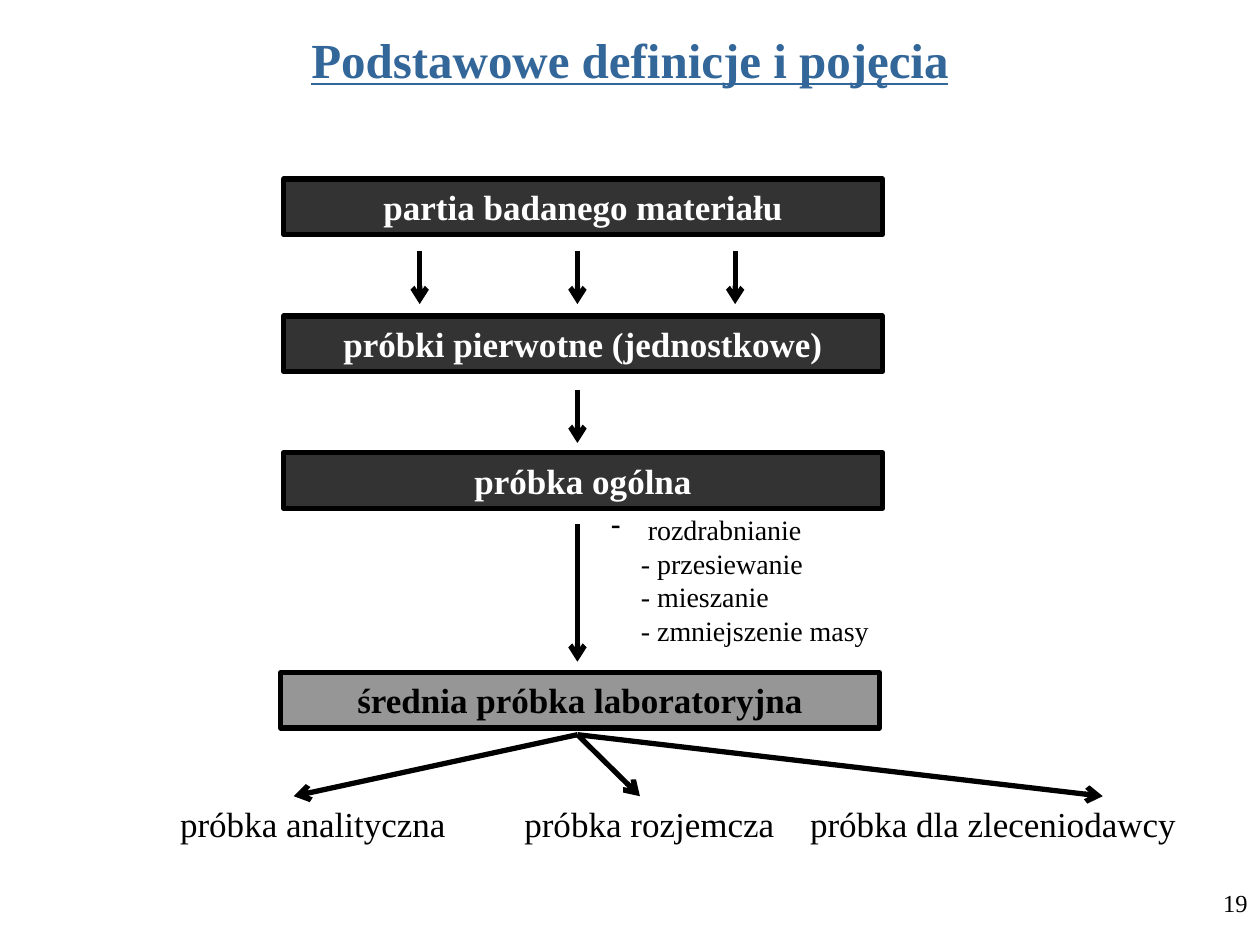
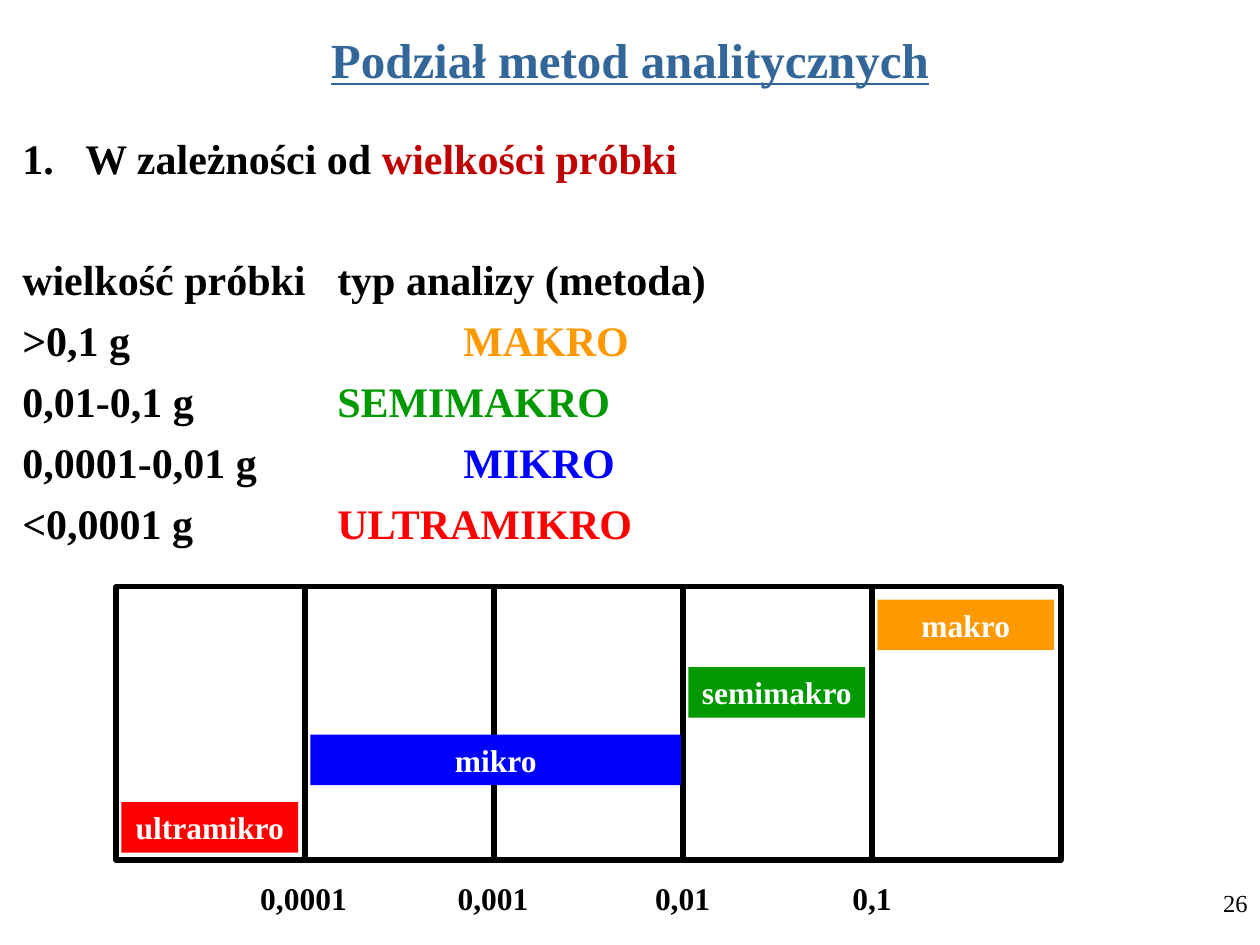
from lxml import etree
from pptx import Presentation
from pptx.dml.color import RGBColor
from pptx.enum.shapes import MSO_CONNECTOR, MSO_SHAPE
from pptx.enum.text import MSO_ANCHOR, PP_ALIGN
from pptx.oxml.ns import qn
from pptx.util import Cm, Pt

RECT = MSO_SHAPE.RECTANGLE
LINE = MSO_CONNECTOR.STRAIGHT
TOP, MIDDLE = MSO_ANCHOR.TOP, MSO_ANCHOR.MIDDLE
LEFT, CENTER, RIGHT = PP_ALIGN.LEFT, PP_ALIGN.CENTER, PP_ALIGN.RIGHT

FONT = "Times New Roman"
BLACK = RGBColor(0, 0, 0)
WHITE = RGBColor(255, 255, 255)
STEEL = RGBColor(0x33, 0x66, 0x99)
DARK = RGBColor(0x33, 0x33, 0x33)
GRAY = RGBColor(0x96, 0x96, 0x96)
CRIMSON = RGBColor(0xC0, 0, 0)
ORANGE = RGBColor(0xFF, 0x99, 0)
GREEN = RGBColor(0, 0x99, 0)
BLUE = RGBColor(0, 0, 0xFF)
RED = RGBColor(0xFF, 0, 0)


def style(para, size, color=BLACK, bold=False, align=LEFT):
    para.alignment = align
    font = para.font
    font.name, font.size, font.bold = FONT, Pt(size), bold
    font.color.rgb = color


def add_bullet(para, tag, indent, **attrs):
    """Give a paragraph a hanging bullet; indent is in cm."""
    props = para._p.get_or_add_pPr()
    props.set("marL", str(Cm(indent)))
    props.set("indent", str(-Cm(indent)))
    etree.SubElement(props, qn(tag), attrs)


def add_tabs(para, *stops):
    """Set left tab stops, in cm."""
    tabs = etree.SubElement(para._p.get_or_add_pPr(), qn("a:tabLst"))
    for stop in stops:
        etree.SubElement(tabs, qn("a:tab"), pos=str(Cm(stop)), algn="l")


def add_frame(slide, x, y, w, h, anchor=TOP):
    box = slide.shapes.add_textbox(Cm(x), Cm(y), Cm(w), Cm(h))
    frame = box.text_frame
    frame.word_wrap = True
    frame.vertical_anchor = anchor
    return frame


def add_label(slide, text, x, y, w, h, size, anchor=TOP, **look):
    para = add_frame(slide, x, y, w, h, anchor).paragraphs[0]
    para.text = text
    style(para, size, **look)
    return para


def add_rect(slide, x, y, w, h, fill=None, edge=None):
    rect = slide.shapes.add_shape(RECT, Cm(x), Cm(y), Cm(w), Cm(h))
    rect.shadow.inherit = False
    if fill is None:
        rect.fill.background()
    else:
        rect.fill.solid()
        rect.fill.fore_color.rgb = fill
    if edge is None:
        rect.line.fill.background()
    else:
        rect.line.color.rgb = edge
        rect.line.width = Pt(3)
    return rect


def add_box(slide, text, x, y, w, h, size, fill, color=WHITE, edge=None):
    """Draw a filled rectangle with one bold centred line."""
    frame = add_rect(slide, x, y, w, h, fill, edge).text_frame
    frame.vertical_anchor = TOP
    para = frame.paragraphs[0]
    para.text = text
    style(para, size, color, True, CENTER)


def add_arrow(slide, x1, y1, x2, y2):
    arrow = slide.shapes.add_connector(LINE, Cm(x1), Cm(y1), Cm(x2), Cm(y2))
    arrow.line.color.rgb = BLACK
    arrow.line.width = Pt(3)
    etree.SubElement(arrow.line._get_or_add_ln(), qn("a:tailEnd"), type="arrow")
    etree.SubElement(arrow._element.spPr, qn("a:effectLst"))


def add_slide(deck, title, number):
    """Start a slide with the shared title and page number."""
    slide = deck.slides.add_slide(deck.slide_layouts[6])
    para = add_label(slide, title, 1.9, 0.25, 21.6, 1.88, 28, MIDDLE,
                     color=STEEL, bold=True, align=CENTER)
    para.font.underline = True
    add_label(slide, str(number), 20.12, 17.78, 5.28, 1.27, 14, align=RIGHT)
    return slide


def draw_flow(slide):
    """Draw the way from the batch to the laboratory samples."""
    steps = ["partia badanego materiału", "próbki pierwotne (jednostkowe)",
             "próbka ogólna"]
    for i, text in enumerate(steps):
        add_box(slide, text, 5.72, 3.61 + 2.76 * i, 12.07, 1.12, 20,
                DARK, edge=BLACK)
    add_box(slide, "średnia próbka laboratoryjna", 5.66, 13.56, 12.07, 1.12,
            20, GRAY, BLACK, BLACK)

    mid = 11.64
    for shift in (-3.18, 0, 3.18):
        add_arrow(slide, mid + shift, 5.06, mid + shift, 6.13)
    add_arrow(slide, mid, 7.87, mid, 8.93)
    add_arrow(slide, mid, 10.57, mid, 13.34)
    for end in (5.92, 12.9, 22.23):
        add_arrow(slide, mid, 14.81, end, 16.05)

    para = add_frame(slide, 12.07, 10.21, 7.62, 2.97).paragraphs[0]
    para.text = " rozdrabnianie\v- przesiewanie\v- mieszanie\v- zmniejszenie masy"
    add_bullet(para, "a:buChar", 0.6, char="-")
    style(para, 16)

    para = add_frame(slide, 3.38, 16.05, 20.96, 1.12).paragraphs[0]
    para.text = "próbka analityczna\tpróbka rozjemcza\tpróbka dla zleceniodawcy"
    add_tabs(para, 6.94, 12.7)
    style(para, 20)


def add_row(frame, size, kind, stop, color):
    """Add a line with a sample size and, at a tab, its method."""
    para = frame.add_paragraph()
    add_tabs(para, stop)
    style(para, 24, bold=True)
    para.space_before = Pt(6)
    para.add_run().text = size + "\t"
    run = para.add_run()
    run.text = kind
    run.font.color.rgb = color
    return para


def draw_list(slide):
    frame = add_frame(slide, 0.2, 2.54, 24.77, 8.38)
    para = frame.paragraphs[0]
    add_bullet(para, "a:buAutoNum", 1.27, type="arabicPeriod")
    style(para, 24, bold=True)
    para.add_run().text = "W zależności od "
    run = para.add_run()
    run.text = "wielkości próbki"
    run.font.color.rgb = CRIMSON

    near, far = 6.35, 8.89
    head = add_row(frame, "wielkość próbki", "typ analizy (metoda)", near, BLACK)
    head.space_before = Pt(40.7)
    add_row(frame, ">0,1 g", "MAKRO", far, ORANGE)
    add_row(frame, "0,01-0,1 g", "SEMIMAKRO", near, GREEN)
    add_row(frame, "0,0001-0,01 g", "MIKRO", far, BLUE)
    add_row(frame, "<0,0001 g", "ULTRAMIKRO", near, RED)


def draw_scale(slide):
    """Draw the mass scale with a bar for each method."""
    left, step = 2.34, 3.81
    for i in range(5):
        add_rect(slide, left + step * i, 11.83, step, 5.51, edge=BLACK)

    bars = [("makro", 4, 1, ORANGE), ("semimakro", 3, 1, GREEN),
            ("mikro", 1, 2, BLUE), ("ultramikro", 0, 1, RED)]
    for i, (text, col, span, fill) in enumerate(bars):
        add_box(slide, text, left + 0.11 + step * col, 12.09 + 1.36 * i,
                3.91 * span - 0.35, 1.02, 18, fill)

    for i, mark in enumerate(["0,0001", "0,001", "0,01", "0,1"]):
        add_label(slide, mark, 4.75 + 3.82 * i, 17.6, 2.74, 1.02, 18,
                  bold=True, align=CENTER)


def main():
    deck = Presentation()
    deck.slide_width, deck.slide_height = Cm(25.4), Cm(19.05)
    draw_flow(add_slide(deck, "Podstawowe definicje i pojęcia", 19))
    slide = add_slide(deck, "Podział metod analitycznych", 26)
    draw_list(slide)
    draw_scale(slide)
    deck.save("out.pptx")


if __name__ == "__main__":
    main()
